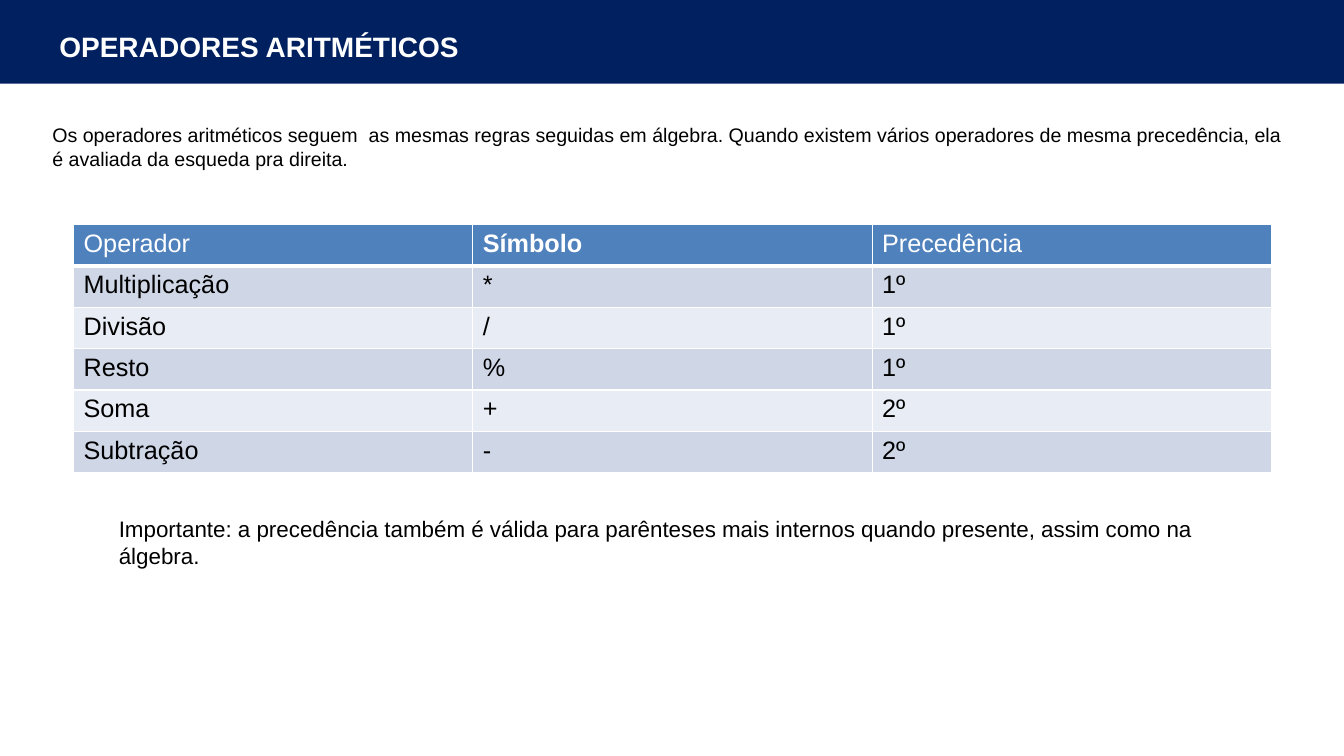
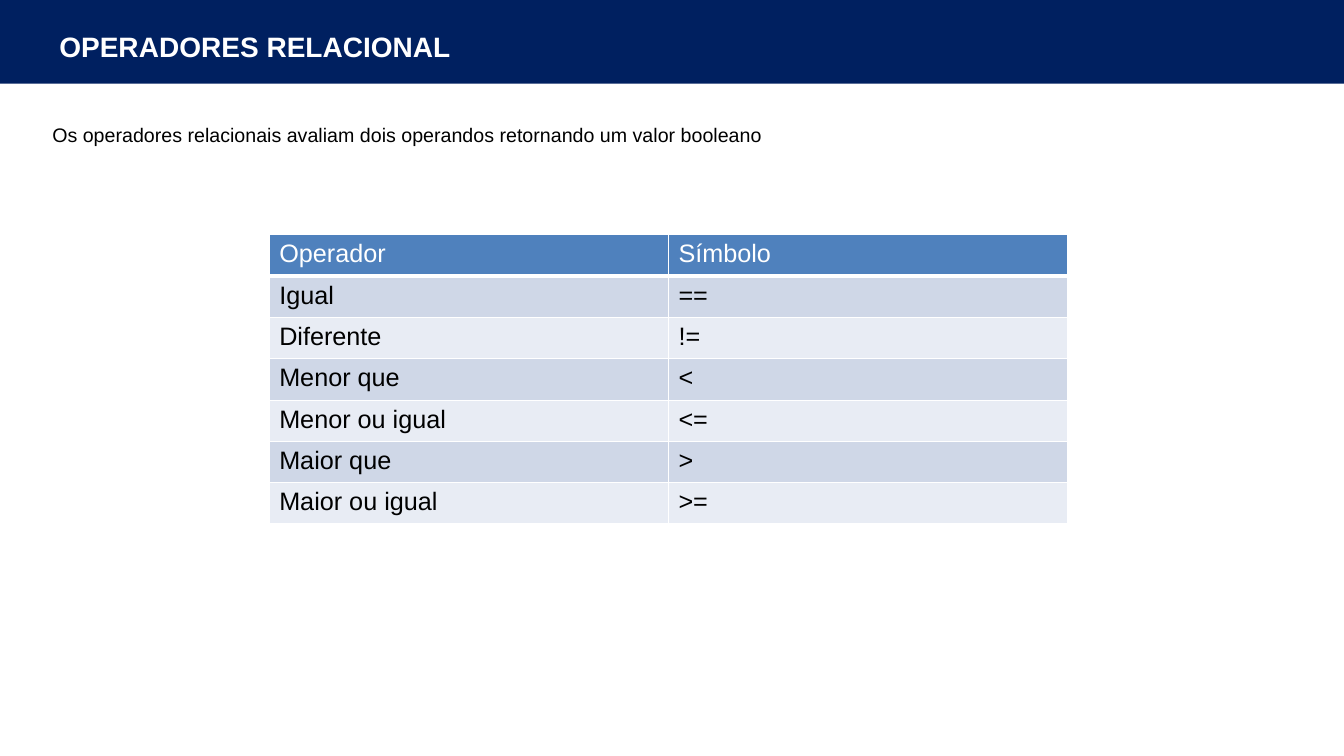
from lxml import etree
from pptx import Presentation
from pptx.dml.color import RGBColor
from pptx.enum import shapes, text
from pptx.oxml.ns import qn
from pptx.util import Inches, Pt

COLORS = {
    "band": "002060",
    "header": "4F81BD",
    "odd": "CFD7E7",
    "even": "E8ECF4",
    "white": "FFFFFF",
    "black": "000000",
}
FONT = "Arial"
COL_W, ROW_H = 3.96, 0.41

SLIDES = [
    {
        "title": "OPERADORES ARITMÉTICOS",
        "intro": "Os operadores aritméticos seguem  as mesmas regras seguidas em álgebra. "
                 "Quando existem vários operadores de mesma precedência, ela é avaliada "
                 "da esqueda pra direita.",
        "table_at": (0.73, 2.23),
        "bold_header": "Símbolo",
        "rows": [
            ("Operador", "Símbolo", "Precedência"),
            ("Multiplicação", "*", "1º"),
            ("Divisão", "/", "1º"),
            ("Resto", "%", "1º"),
            ("Soma", "+", "2º"),
            ("Subtração", "-", "2º"),
        ],
        "note": "Importante: a precedência também é válida para parênteses mais internos "
                "quando presente, assim como na álgebra.",
    },
    {
        "title": "OPERADORES RELACIONAL",
        "intro": "Os operadores relacionais avaliam dois operandos retornando um valor booleano",
        "table_at": (2.67, 2.33),
        "bold_header": None,
        "rows": [
            ("Operador", "Símbolo"),
            ("Igual", "=="),
            ("Diferente", "!="),
            ("Menor que", "<"),
            ("Menor ou igual", "<="),
            ("Maior que", ">"),
            ("Maior ou igual", ">="),
        ],
        "note": None,
    },
]


def write(tf, content, size, color, bold=False):
    p = tf.paragraphs[0]
    p.text = content
    p.font.name = FONT
    p.font.size = Pt(size)
    p.font.bold = bold
    p.font.color.rgb = RGBColor.from_string(COLORS[color])
    for r in p.runs:
        r.font.bold = bold


def add_text(s, box, content, size, color, bold=False, anchor=text.MSO_ANCHOR.TOP):
    tf = s.shapes.add_textbox(*map(Inches, box)).text_frame
    tf.word_wrap = True
    tf.vertical_anchor = anchor
    write(tf, content, size, color, bold)


prs = Presentation()
prs.slide_width, prs.slide_height = Inches(13.33), Inches(7.5)

for data in SLIDES:
    s = prs.slides.add_slide(prs.slide_layouts[6])

    band = s.shapes.add_shape(shapes.MSO_SHAPE.RECTANGLE, Inches(-0.01), 0, Inches(13.35), Inches(0.83))
    band.shadow.inherit = False
    band.fill.solid()
    band.fill.fore_color.rgb = RGBColor.from_string(COLORS["band"])
    band.line.fill.background()

    add_text(s, (0.49, 0.14, 4.54, 0.64), data["title"], 20, "white", True, text.MSO_ANCHOR.MIDDLE)
    add_text(s, (0.42, 1.17, 12.42, 0.57), data["intro"], 14, "black")

    rows = data["rows"]
    n_rows, n_cols = len(rows), len(rows[0])
    left, top = data["table_at"]
    table = s.shapes.add_table(n_rows, n_cols, Inches(left), Inches(top),
                               Inches(COL_W * n_cols), Inches(ROW_H * n_rows)).table
    table.horz_banding = False
    for col in table.columns:
        col.width = Inches(COL_W)
    for i, values in enumerate(rows):
        table.rows[i].height = Inches(ROW_H)
        fill = "header" if i == 0 else "odd" if i % 2 else "even"
        for j, value in enumerate(values):
            cell = table.cell(i, j)
            tc_pr = cell._tc.get_or_add_tcPr()
            for side in ("lnL", "lnR", "lnT", "lnB"):
                thick = (i == 0 and side == "lnB") or (i == 1 and side == "lnT")
                ln = etree.SubElement(tc_pr, qn(f"a:{side}"), w=str(Pt(3 if thick else 1)))
                solid = etree.SubElement(ln, qn("a:solidFill"))
                etree.SubElement(solid, qn("a:srgbClr"), val=COLORS["white"])
            cell.fill.solid()
            cell.fill.fore_color.rgb = RGBColor.from_string(COLORS[fill])
            write(cell.text_frame, value, 18, "black" if i else "white",
                  i == 0 and value == data["bold_header"])

    if data["note"]:
        add_text(s, (1.08, 5.06, 11.09, 0.64), data["note"], 16, "black")

prs.save("out.pptx")
